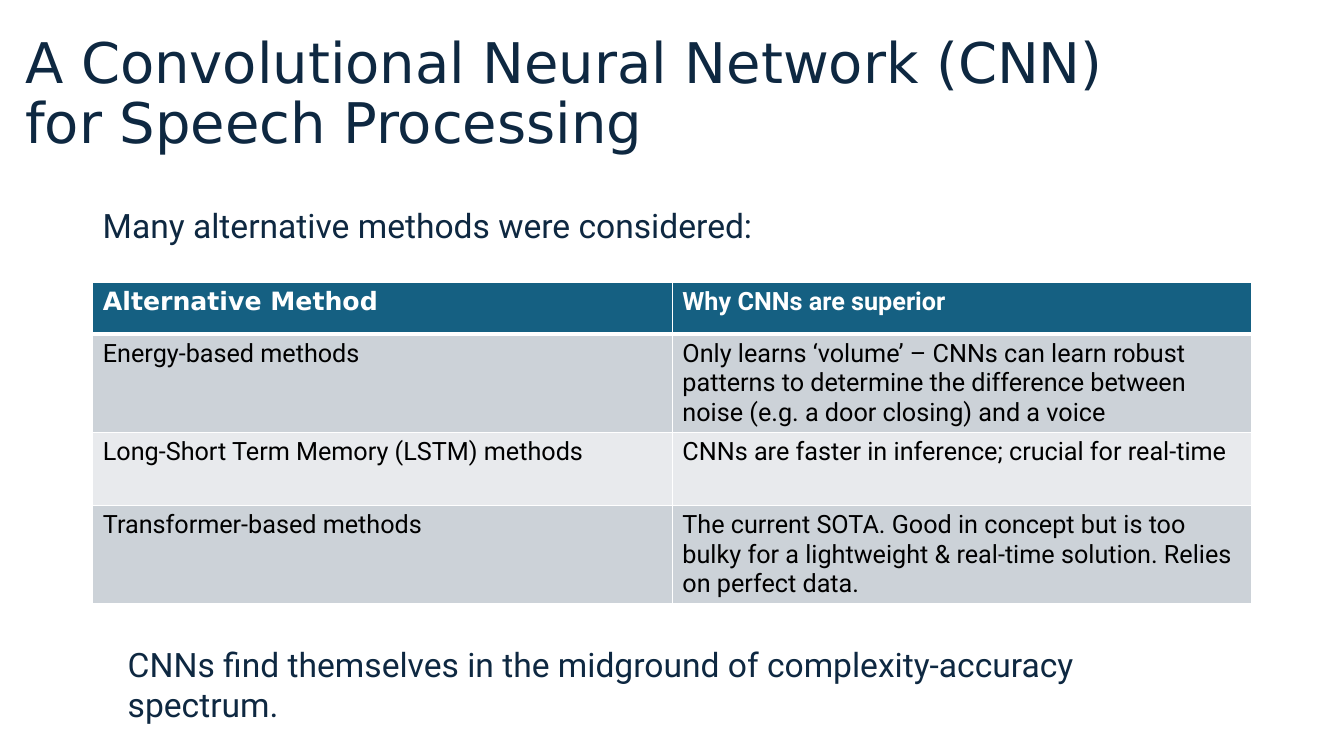
from dataclasses import dataclass

from lxml import etree
from pptx import Presentation
from pptx.dml.color import RGBColor
from pptx.enum.text import MSO_ANCHOR, MSO_AUTO_SIZE, PP_ALIGN
from pptx.oxml.ns import qn
from pptx.util import Cm, Pt

LEFT = PP_ALIGN.LEFT
TOP, MIDDLE = MSO_ANCHOR.TOP, MSO_ANCHOR.MIDDLE
NO_AUTOFIT, GROW = MSO_AUTO_SIZE.NONE, MSO_AUTO_SIZE.SHAPE_TO_FIT_TEXT

# Content
TITLE = "A Convolutional Neural Network (CNN) for Speech Processing"
INTRO = "Many alternative methods were considered:"
CONCLUSION = "CNNs find themselves in the midground of complexity-accuracy spectrum."
COMPARISON = [
    ("Alternative Method", "Why CNNs are superior"),
    ("Energy-based methods",
     "Only learns ‘volume’ – CNNs can learn robust patterns to determine "
     "the difference between noise (e.g. a door closing) and a voice"),
    ("Long-Short Term Memory (LSTM) methods",
     "CNNs are faster in inference; crucial for real-time"),
    ("Transformer-based methods",
     "The current SOTA. Good in concept but is too bulky for a lightweight "
     "& real-time solution. Relies on perfect data."),
]

# Layout in centimetres: left, top, width, height
TITLE_BOX = (0.38, 0.56, 29.21, 3.68)
INTRO_BOX = (2.34, 5.03, 22.17, 1.27)
CONCLUSION_BOX = (2.97, 16.1, 27.91, 1.27)
ROW_HEIGHTS = (1.3, 2.48, 1.83, 2.48)
TABLE_BOX = (2.34, 7.11, 29.21, sum(ROW_HEIGHTS))


@dataclass(frozen=True)
class Theme:
    heading_font: str = "DejaVu Sans"
    body_font: str = "Roboto"
    title_size: int = 40
    statement_size: int = 24
    table_size: int = 18
    navy: str = "0E2841"
    header: str = "156082"
    odd_band: str = "CCD2D8"
    even_band: str = "E8EAED"
    white: str = "FFFFFF"
    black: str = "000000"


THEME = Theme()


def lengths(box):
    return [Cm(value) for value in box]


def write(paragraph, text, font, size, color, bold=False):
    paragraph.alignment = LEFT
    run = paragraph.add_run()
    run.text = text
    run.font.name = font
    run.font.size = Pt(size)
    run.font.bold = bold
    run.font.color.rgb = RGBColor.from_string(color)


def add_title(slide):
    title = slide.shapes.title
    title.left, title.top, title.width, title.height = lengths(TITLE_BOX)
    frame = title.text_frame
    frame.word_wrap = True
    frame.auto_size = NO_AUTOFIT
    frame.vertical_anchor = MIDDLE
    paragraph = frame.paragraphs[0]
    paragraph.line_spacing = 0.9
    write(paragraph, TITLE, THEME.heading_font, THEME.title_size, THEME.navy)


def add_statement(slide, text, box):
    frame = slide.shapes.add_textbox(*lengths(box)).text_frame
    frame.word_wrap = True
    frame.auto_size = GROW
    write(frame.paragraphs[0], text, THEME.body_font, THEME.statement_size, THEME.navy)


def set_borders(cell, widths):
    properties = cell._tc.get_or_add_tcPr()
    for side, width in widths.items():
        line = etree.SubElement(properties, qn(f"a:ln{side}"), w=str(Pt(width)))
        fill = etree.SubElement(line, qn("a:solidFill"))
        etree.SubElement(fill, qn("a:srgbClr"), val=THEME.white)


def add_comparison(slide):
    row_count, column_count = len(COMPARISON), len(COMPARISON[0])
    table = slide.shapes.add_table(row_count, column_count, *lengths(TABLE_BOX)).table
    for row_index, (texts, height) in enumerate(zip(COMPARISON, ROW_HEIGHTS)):
        table.rows[row_index].height = Cm(height)
        is_header = row_index == 0
        band = THEME.odd_band if row_index % 2 else THEME.even_band
        for column_index, text in enumerate(texts):
            cell = table.cell(row_index, column_index)
            cell.vertical_anchor = TOP
            # The rule under the header is heavier than the others
            set_borders(cell, {"L": 1, "R": 1,
                               "T": 3 if row_index == 1 else 1,
                               "B": 3 if is_header else 1})
            cell.fill.solid()
            cell.fill.fore_color.rgb = RGBColor.from_string(
                THEME.header if is_header else band)
            is_corner = is_header and column_index == 0
            write(cell.text_frame.paragraphs[0], text,
                  THEME.heading_font if is_corner else THEME.body_font,
                  THEME.table_size,
                  THEME.white if is_header else THEME.black,
                  bold=is_header)


def main():
    presentation = Presentation()
    presentation.slide_width, presentation.slide_height = Cm(33.87), Cm(19.05)
    slide = presentation.slides.add_slide(presentation.slide_layouts[5])

    # Title, table and the statements around it
    add_title(slide)
    add_comparison(slide)
    add_statement(slide, INTRO, INTRO_BOX)
    add_statement(slide, CONCLUSION, CONCLUSION_BOX)

    presentation.save("out.pptx")


if __name__ == "__main__":
    main()
